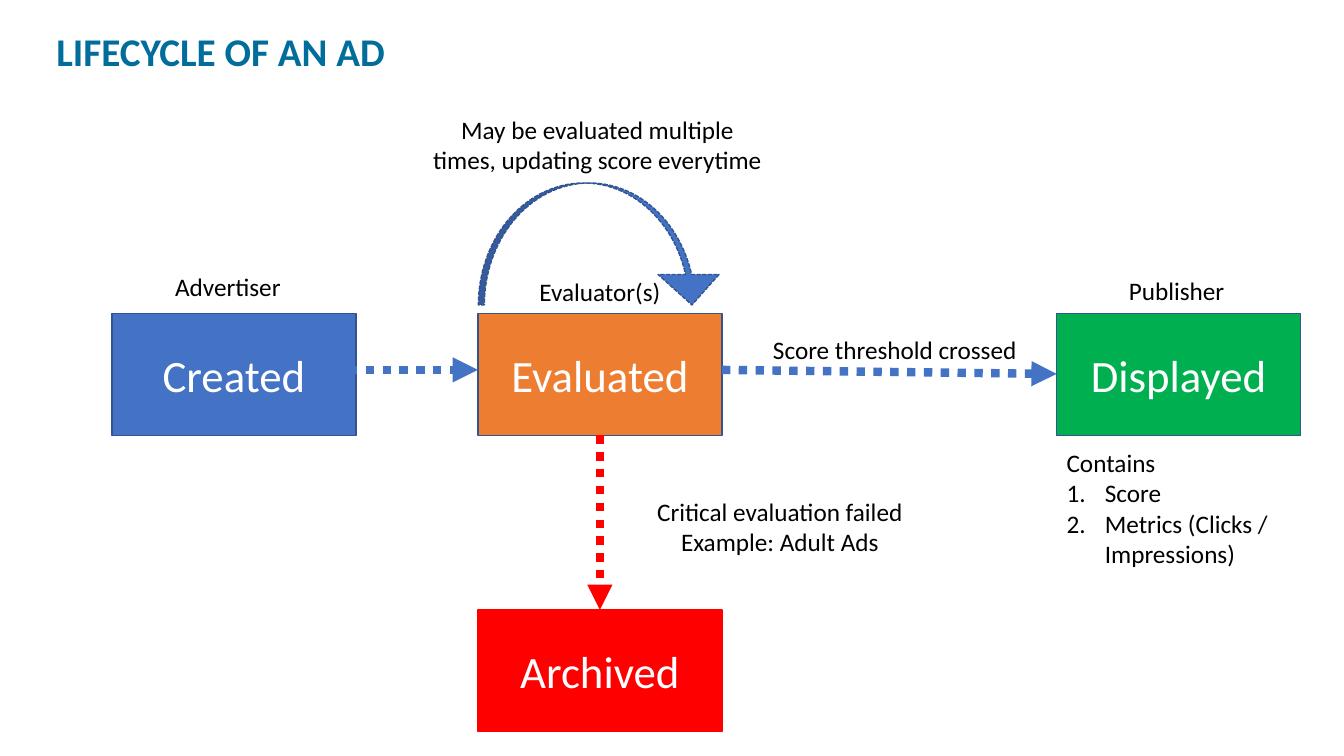
from lxml.etree import SubElement
from pptx import Presentation
from pptx.dml.color import RGBColor
from pptx.enum.dml import MSO_LINE
from pptx.enum.shapes import MSO_CONNECTOR, MSO_SHAPE
from pptx.enum.text import MSO_ANCHOR, PP_ALIGN
from pptx.oxml.ns import qn
from pptx.util import Inches, Pt

BLUE, NAVY, RED = "4472C4", "325491", "FF0000"
BOX_W, BOX_H = 2.42, 1.21


def rgb(color):
    return RGBColor.from_string(color)


def add_text(p, text, size, color, align=PP_ALIGN.CENTER):
    p.alignment = align
    r = p.add_run()
    r.text = text
    r.font.size = Pt(size)
    r.font.name = "Calibri"
    r.font.color.rgb = rgb(color)
    return r


prs = Presentation()
prs.slide_width, prs.slide_height = Inches(13.33), Inches(7.5)
s = prs.slides.add_slide(prs.slide_layouts[5])

# Title
title = s.shapes.title
title.left, title.top = Inches(0.46), Inches(0.22)
title.width, title.height = Inches(9.35), Inches(0.57)
title.text_frame.vertical_anchor = MSO_ANCHOR.TOP
r = add_text(title.text_frame.paragraphs[0], "LIFECYCLE OF AN AD", 28, "006D9A", PP_ALIGN.LEFT)
r.font.bold = True

# State boxes
states = [
    ("Archived", 4.74, 6.05, RED, RED),
    ("Created", 1.11, 3.11, BLUE, NAVY),
    ("Evaluated", 4.74, 3.11, "ED7D31", NAVY),
    ("Displayed", 10.48, 3.11, "00B050", NAVY),
]
for name, x, y, fill, line in states:
    sp = s.shapes.add_shape(MSO_SHAPE.RECTANGLE, Inches(x), Inches(y), Inches(BOX_W), Inches(BOX_H))
    sp.shadow.inherit = False
    sp.fill.solid()
    sp.fill.fore_color.rgb = rgb(fill)
    sp.line.color.rgb = rgb(line)
    sp.line.width = Pt(1)
    sp.text_frame.vertical_anchor = MSO_ANCHOR.MIDDLE
    add_text(sp.text_frame.paragraphs[0], name, 32, "FFFFFF")

# Re-evaluation loop
loop = s.shapes.add_shape(MSO_SHAPE.CURVED_LEFT_ARROW, Inches(5.35), Inches(1.21), Inches(BOX_H), Inches(BOX_W))
loop.rotation = 270
for i, value in enumerate((0.049, 0.5, 0.25)):
    loop.adjustments[i] = value
loop.shadow.inherit = False
loop.fill.solid()
loop.fill.fore_color.rgb = rgb(BLUE)
loop.line.color.rgb = rgb(NAVY)
loop.line.width = Pt(1)
loop.line.dash_style = MSO_LINE.SQUARE_DOT
loop.line._ln.find(qn("a:prstDash")).set("val", "sysDash")

# Dotted transitions
transitions = [
    (3.46, 3.67, 4.74, 3.67, BLUE),
    (7.16, 3.67, 10.48, 3.71, BLUE),
    (5.95, 4.32, 5.95, 6.05, RED),
]
for x1, y1, x2, y2, color in transitions:
    arrow = s.shapes.add_connector(MSO_CONNECTOR.STRAIGHT, Inches(x1), Inches(y1), Inches(x2), Inches(y2))
    arrow.line.color.rgb = rgb(color)
    arrow.line.width = Pt(6)
    arrow.line.dash_style = MSO_LINE.ROUND_DOT
    ln = arrow.line._ln
    ln.find(qn("a:prstDash")).set("val", "sysDot")
    SubElement(ln, qn("a:tailEnd"), type="triangle")
    SubElement(arrow._element.spPr, qn("a:effectLst"))

# Labels
labels = [
    (1.05, 2.64, 2.42, 0.4, ["Advertiser"]),
    (4.74, 2.69, 2.42, 0.4, ["Evaluator(s)"]),
    (10.46, 2.68, 2.42, 0.4, ["Publisher"]),
    (4.14, 1.08, 3.57, 0.71, ["May be evaluated multiple times, updating score everytime"]),
    (7.09, 3.27, 3.57, 0.4, ["Score threshold crossed"]),
    (5.95, 4.87, 3.57, 0.71, ["Critical evaluation failed", "Example: Adult Ads"]),
    (10.48, 4.39, 2.42, 1.31, ["Contains", "Score", "Metrics (Clicks / Impressions)"]),
]
for x, y, w, h, lines in labels:
    tf = s.shapes.add_textbox(Inches(x), Inches(y), Inches(w), Inches(h)).text_frame
    tf.word_wrap = True
    is_list = lines[0] == "Contains"
    for i, text in enumerate(lines):
        p = tf.add_paragraph() if i else tf.paragraphs[0]
        add_text(p, text, 18, "000000", PP_ALIGN.LEFT if is_list else PP_ALIGN.CENTER)
        if is_list and i:
            pPr = p._p.get_or_add_pPr()
            pPr.set("marL", str(Inches(0.38)))
            pPr.set("indent", str(-Inches(0.38)))
            SubElement(pPr, qn("a:buFont"), typeface="+mj-lt")
            SubElement(pPr, qn("a:buAutoNum"), type="arabicPeriod")

prs.save("out.pptx")
